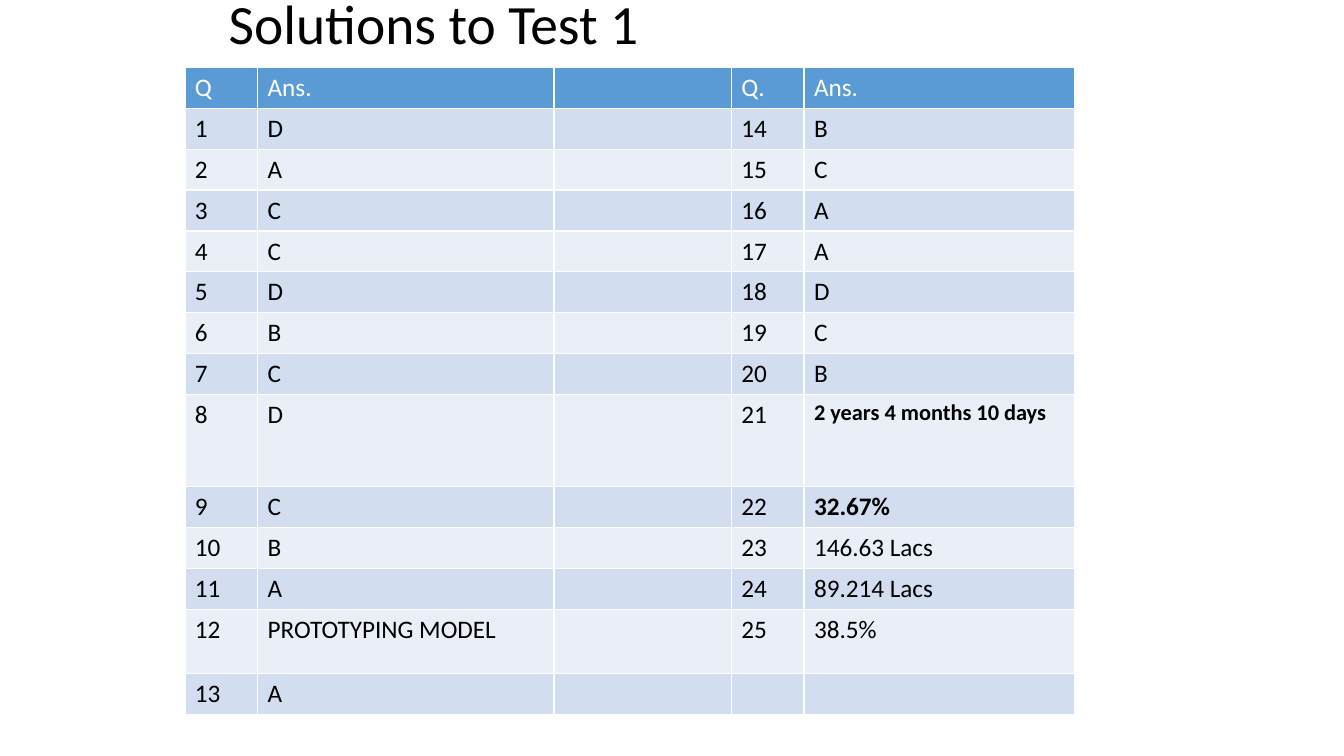
from dataclasses import dataclass

from pptx import Presentation
from pptx.dml.color import RGBColor
from pptx.enum.text import MSO_ANCHOR as Anchor
from pptx.enum.text import MSO_AUTO_SIZE as AutoSize
from pptx.enum.text import PP_ALIGN as Align
from pptx.util import Cm, Pt

COLORS = {
    "header": "5B9BD5",
    "odd_row": "D2DEEF",
    "even_row": "EAEFF7",
    "header_text": "FFFFFF",
    "text": "000000",
}
FONT = "Calibri"
COLUMN_WIDTHS = [1.83, 7.47, 4.47, 1.83, 6.83]
HEADER_HEIGHT = 0.97
ROW_HEIGHT = 1.03
TALL_ROWS = {8: 2.32, 12: 1.62}
HEADINGS = ["Q", "Ans.", "", "Q.", "Ans."]


@dataclass(frozen=True)
class Answer:
    text: str
    size: float = 18
    bold: bool = False


LEFT_ANSWERS = [
    Answer(text)
    for text in ["D", "A", "C", "C", "D", "B", "C", "D", "C", "B", "A",
                 "PROTOTYPING MODEL", "A"]
]
RIGHT_ANSWERS = [
    *(Answer(text) for text in "BCAADCB"),
    Answer("2 years 4 months 10 days", size=16, bold=True),
    Answer("32.67%", bold=True),
    Answer("146.63 Lacs"),
    Answer("89.214 Lacs"),
    Answer("38.5%"),
]


def write_text(text_frame, text: str, *, size: float = 18, bold: bool = False,
               color: str = "text", line_spacing: float = 1.0) -> None:
    paragraph = text_frame.paragraphs[0]
    paragraph.alignment = Align.LEFT
    paragraph.line_spacing = line_spacing
    run = paragraph.add_run()
    run.text = text
    run.font.name = FONT
    run.font.size = Pt(size)
    run.font.bold = bold
    run.font.color.rgb = RGBColor.from_string(COLORS[color])


def add_title(slide) -> None:
    title = slide.shapes.title
    title.left, title.top, title.width, title.height = Cm(5.51), Cm(0.08), Cm(22.86), Cm(1.19)
    title.text_frame.word_wrap = True
    title.text_frame.auto_size = AutoSize.NONE
    title.text_frame.vertical_anchor = Anchor.MIDDLE
    write_text(title.text_frame, "Solutions to Test 1", size=39.6, line_spacing=0.9)


def answer_rows() -> list[list[Answer]]:
    """Pair each question on the left with the one that many rows on at the right."""
    blank = Answer("")
    first_right = len(LEFT_ANSWERS) + 1
    rows = []
    for index, left in enumerate(LEFT_ANSWERS):
        row = [Answer(str(index + 1)), left, blank]
        if index < len(RIGHT_ANSWERS):
            row += [Answer(str(first_right + index)), RIGHT_ANSWERS[index]]
        else:
            row += [blank, blank]
        rows.append(row)
    return rows


def add_answer_table(slide) -> None:
    rows = [[Answer(heading) for heading in HEADINGS], *answer_rows()]
    heights = [HEADER_HEIGHT] + [
        TALL_ROWS.get(number, ROW_HEIGHT) for number in range(1, len(rows))
    ]
    table = slide.shapes.add_table(
        len(rows), len(COLUMN_WIDTHS), Cm(4.66), Cm(1.7),
        Cm(sum(COLUMN_WIDTHS)), Cm(sum(heights)),
    ).table
    for column, width in zip(table.columns, COLUMN_WIDTHS):
        column.width = Cm(width)
    for number, (answers, height) in enumerate(zip(rows, heights)):
        table.rows[number].height = Cm(height)
        is_header = number == 0
        fill = "header" if is_header else "odd_row" if number % 2 else "even_row"
        for cell, answer in zip(table.rows[number].cells, answers):
            cell.fill.solid()
            cell.fill.fore_color.rgb = RGBColor.from_string(COLORS[fill])
            if answer.text:
                write_text(cell.text_frame, answer.text, size=answer.size, bold=answer.bold,
                           color="header_text" if is_header else "text")


def main() -> None:
    presentation = Presentation()
    presentation.slide_width, presentation.slide_height = Cm(33.87), Cm(19.05)
    slide = presentation.slides.add_slide(presentation.slide_layouts[5])
    add_title(slide)
    add_answer_table(slide)
    presentation.save("out.pptx")


if __name__ == "__main__":
    main()
